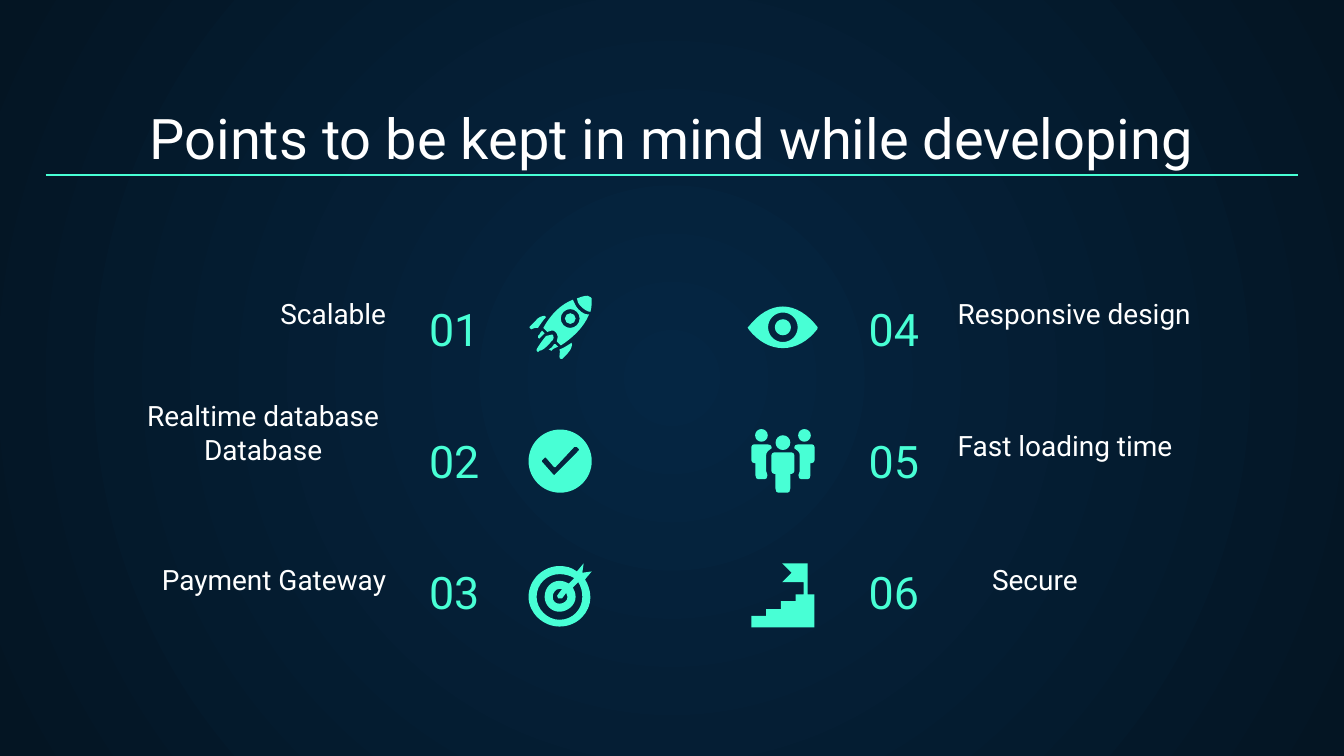
from lxml.etree import SubElement
from pptx import Presentation
from pptx.dml.color import RGBColor
from pptx.enum.shapes import MSO_CONNECTOR
from pptx.enum.text import MSO_ANCHOR, PP_ALIGN
from pptx.oxml.ns import qn
from pptx.util import Cm, Pt

MINT = RGBColor(0x48, 0xFF, 0xD5)
WHITE = RGBColor(0xFF, 0xFF, 0xFF)
NAVY = RGBColor(0x05, 0x26, 0x43)
MIDNIGHT = RGBColor(0x04, 0x15, 0x23)
FRAME_FORMAT = {
    "word_wrap": True, "vertical_anchor": MSO_ANCHOR.BOTTOM,
    "margin_left": Cm(0.25), "margin_right": Cm(0.25),
    "margin_top": Cm(0.25), "margin_bottom": Cm(0.25),
}
ICON_UNIT = 0.0254  # cm per icon grid step; an icon is about 47 steps wide
LEFT, CENTER, RIGHT = PP_ALIGN.LEFT, PP_ALIGN.CENTER, PP_ALIGN.RIGHT

# A contour is a start point, then lines (x, y) and cubic curves (6 values).


def circle(cx, cy, radius):
    """Return a circle as a contour of four curves."""
    r, k = radius, 0.55 * radius
    return [(cx, cy - r),
            (cx - k, cy - r, cx - r, cy - k, cx - r, cy),
            (cx - r, cy + k, cx - k, cy + r, cx, cy + r),
            (cx + k, cy + r, cx + r, cy + k, cx + r, cy),
            (cx + r, cy - k, cx + k, cy - r, cx, cy - r)]


def mirror(contour):
    """Return a contour flipped left to right within the icon grid."""
    return [tuple(v if i % 2 else 47 - v for i, v in enumerate(segment))
            for segment in contour]


def rocket():
    """Return the parts of the rocket, each a list of contours."""
    inner_flame = [(10, 26), (8, 28, 8, 30, 7, 30), (7, 31, 7, 32, 8, 32),
                   (9, 31, 10, 30, 11, 29), (12, 28)]
    lower_flame = [(20, 36), (19, 36), (18, 38, 17, 39, 15, 40), (17, 41),
                   (17, 41, 17, 40, 18, 40), (18, 40, 19, 39, 22, 38)]
    flame = [(17, 29), (16, 29, 14, 30, 13, 30), (9, 35, 7, 38, 6, 40),
             (6, 41), (7, 42), (8, 41), (10, 41, 13, 39, 17, 34),
             (19, 33, 19, 30, 18, 29)]
    upper_fin = [(12, 15), (10, 15, 7, 16, 5, 19), (1, 23), (1, 23, 0, 24, 1, 24),
                 (2, 25), (4, 24, 5, 24, 6, 24), (7, 24), (9, 21, 11, 18, 13, 16)]
    lower_fin = [(32, 35), (29, 37, 26, 39, 23, 40), (24, 41, 23, 42, 23, 45),
                 (23, 46, 23, 47, 24, 47), (25, 47), (29, 43), (32, 40, 33, 36, 32, 35)]
    nose = [(44, 0), (41, 0, 39, 1, 36, 2), (36, 4, 37, 6, 39, 8),
            (41, 10, 44, 12, 46, 12), (47, 9, 47, 5, 47, 2), (46, 1)]
    body = [(33, 3), (25, 6, 17, 13, 11, 24), (14, 27), (15, 26, 16, 26, 17, 26),
            (18, 26, 20, 26, 20, 27), (22, 29, 22, 31, 21, 34), (24, 37),
            (32, 32, 41, 24, 45, 14), (42, 14, 40, 13, 37, 10), (35, 8, 34, 5, 33, 3)]
    solid = [inner_flame, lower_flame, flame, upper_fin, lower_fin,
             circle(31, 17, 4), nose]
    return [[part] for part in solid] + [[body, circle(31, 17, 7)]]


def check():
    """Return a disc with a tick cut out."""
    tick = [(35, 13), (36, 13), (37, 14), (38, 15, 38, 15, 37, 16), (20, 33),
            (19, 34), (18, 33), (10, 24), (10, 23), (12, 21), (13, 21), (19, 28),
            (20, 28), (34, 13)]
    return [[circle(23.5, 23.5, 23.5), tick]]


def target():
    """Return a target hit by an arrow."""
    board = [(41, 0), (36, 6), (32, 3, 28, 2, 23, 2), (11, 2, 0, 12, 0, 25),
             (0, 37, 11, 47, 23, 47), (36, 47, 46, 37, 46, 25),
             (46, 20, 44, 15, 42, 12), (47, 6), (40, 7)]
    ring = [(23, 8), (27, 8, 31, 9, 34, 11), (30, 15), (28, 14, 26, 13, 23, 13),
            (17, 13, 12, 18, 12, 25), (12, 31, 17, 36, 23, 36),
            (29, 36, 35, 31, 35, 25), (35, 22, 34, 20, 33, 18), (37, 14),
            (39, 17, 40, 21, 40, 25), (40, 34, 33, 42, 23, 42),
            (14, 42, 6, 34, 6, 25), (6, 15, 14, 8, 23, 8)]
    bullseye = [(23, 19), (25, 19), (22, 23), (21, 23, 21, 25, 22, 26),
                (23, 26, 24, 26, 25, 26), (28, 22), (29, 23, 29, 24, 29, 25),
                (29, 28, 26, 30, 23, 30), (20, 30, 18, 28, 18, 25),
                (18, 22, 20, 19, 23, 19)]
    return [[board, ring, bullseye]]


def eye():
    """Return an eye with iris and pupil."""
    lids = [(23.5, 8), (14, 8, 5, 14, -2, 23), (-3, 23, -3, 24, -2, 25),
            (5, 34, 14, 39, 23.5, 39), (33, 39, 42, 34, 49, 25),
            (49.5, 24, 49.5, 23, 49, 23), (42, 14, 33, 8, 23.5, 8)]
    return [[lids, circle(23.5, 23.5, 11), circle(23.5, 23.5, 6)]]


def people():
    """Return three people, the outer two mirrored."""
    side = [(2, 11), (1, 11, 0, 12, 0, 13), (0, 23), (0, 24, 1, 25, 2, 25), (3, 25),
            (3, 34), (3, 36, 4, 37, 5, 37), (10, 37), (11, 37, 12, 36, 12, 34),
            (12, 33, 11, 32, 11, 31), (11, 19), (11, 17, 13, 15, 15, 14), (15, 13),
            (15, 12, 14, 11, 12, 11)]
    middle = [(17, 17), (16, 17, 15, 18, 15, 19), (15, 31), (15, 32, 16, 33, 17, 33),
              (18, 33), (18, 44), (18, 46, 19, 47, 20, 47), (27, 47),
              (28, 47, 29, 46, 29, 44), (29, 33), (30, 33), (31, 33, 32, 32, 32, 31),
              (32, 19), (32, 18, 31, 17, 30, 17)]
    head = circle(7.5, 4.3, 4.7)
    return [[part] for part in (head, side, mirror(head), mirror(side), middle,
                                circle(23.5, 9.7, 5.5))]


def stairs():
    """Return stairs with a flag on top."""
    return [[[(23, 0), (30, 7), (23, 14), (39, 14), (39, 23), (33, 23), (33, 28),
              (22, 28), (22, 34), (11, 34), (11, 39), (0, 39), (0, 47.5), (47, 47.5),
              (47, 23), (42, 23), (42, 0)]]]


def bend(part, contours):
    """Join the three lines that stand for each curve into one cubic curve."""
    lines = iter(part._element.findall(".//" + qn("a:lnTo")))
    for segment in (segment for contour in contours for segment in contour[1:]):
        first = next(lines)
        if len(segment) == 6:
            first.tag = qn("a:cubicBezTo")
            for _ in range(2):
                line = next(lines)
                first.append(line[0])
                line.getparent().remove(line)


def add_icon(slide, left, top, parts):
    """Draw the parts of an icon with its grid origin at left, top (cm)."""
    for contours in parts:
        placed = [[(Cm(left + s[i] * ICON_UNIT), Cm(top + s[i + 1] * ICON_UNIT))
                   for s in contour for i in range(0, len(s), 2)]
                  for contour in contours]
        builder = slide.shapes.build_freeform(*placed[0][0])
        builder.add_line_segments(placed[0][1:])
        for hole in placed[1:]:
            builder.move_to(*hole[0])
            builder.add_line_segments(hole[1:])
        part = builder.convert_to_shape()
        bend(part, contours)
        part.shadow.inherit = False
        part.fill.solid()
        part.fill.fore_color.rgb = MINT
        part.line.fill.background()


def add_text(slide, box, text, size, color, align):
    """Add one bottom-anchored paragraph in a box given in cm."""
    frame = slide.shapes.add_textbox(*map(Cm, box)).text_frame
    for name, value in FRAME_FORMAT.items():
        setattr(frame, name, value)
    paragraph = frame.paragraphs[0]
    paragraph.alignment = align
    run = paragraph.add_run()
    run.text = text
    for name, value in {"name": "Roboto", "size": Pt(size)}.items():
        setattr(run.font, name, value)
    run.font.color.rgb = color


def add_rule(slide, left, right, y):
    """Draw the thin line under the title."""
    rule = slide.shapes.add_connector(MSO_CONNECTOR.STRAIGHT,
                                      Cm(left), Cm(y), Cm(right), Cm(y))
    rule.line.color.rgb = MINT
    rule.line.width = Pt(0.75)
    SubElement(rule._element.spPr, qn("a:effectLst"))


def paint_background(slide):
    """Fill the background with a glow from the centre."""
    fill = slide.background.fill
    fill.gradient()
    for stop, position, color in zip(fill.gradient_stops, (0, 1), (NAVY, MIDNIGHT)):
        stop.position = position
        stop.color.rgb = color
    gradient = slide._element.find(".//" + qn("a:gradFill"))
    glow = gradient.makeelement(qn("a:path"), {"path": "circle"})
    SubElement(glow, qn("a:fillToRect"), {side: "50000" for side in "ltrb"})
    gradient.replace(gradient.find(qn("a:lin")), glow)


def main():
    """Build the slide and save it."""
    deck = Presentation()
    deck.slide_width, deck.slide_height = Cm(25.4), Cm(14.29)
    slide = deck.slides.add_slide(deck.slide_layouts[6])
    paint_background(slide)
    add_text(slide, (0.86, 1.79, 23.67, 1.68),
             "Points to be kept in mind while developing", 30, WHITE, CENTER)
    columns = [
        (7.86, LEFT, 9.99, [
            ("Scalable", 1.78, 5.96, RIGHT, rocket),
            ("Realtime database Database", 2.09, 8.53, CENTER, check),
            ("Payment Gateway", 1.78, 10.99, RIGHT, target)]),
        (14.34, RIGHT, 14.2, [
            ("Responsive design", 17.85, 5.96, LEFT, eye),
            ("Fast loading time", 17.85, 8.45, LEFT, people),
            ("Secure", 18.5, 10.99, LEFT, stairs)]),
    ]
    for column, (number_left, number_align, icon_left, points) in enumerate(columns):
        for row, (label, left, top, align, icon) in enumerate(points):
            number = f"{column * 3 + row + 1:02d}"
            add_text(slide, (number_left, 5.29 + 2.49 * row, 3.28, 1.68),
                     number, 24, MINT, number_align)
            add_text(slide, (left, top, 5.77, 0.53), label, 15, WHITE, align)
            add_icon(slide, icon_left, 5.59 + 2.53 * row, icon())
    add_rule(slide, 0.86, 24.54, 3.31)
    deck.save("out.pptx")


main()
